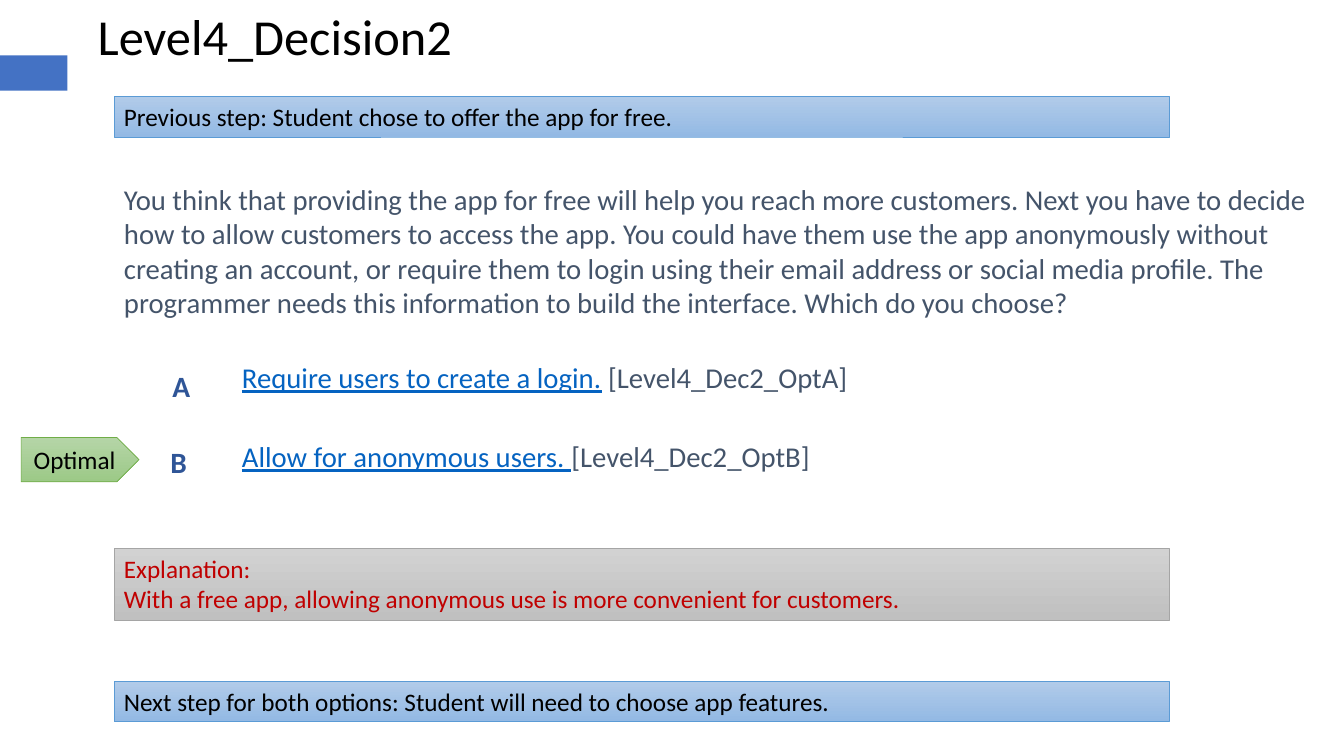
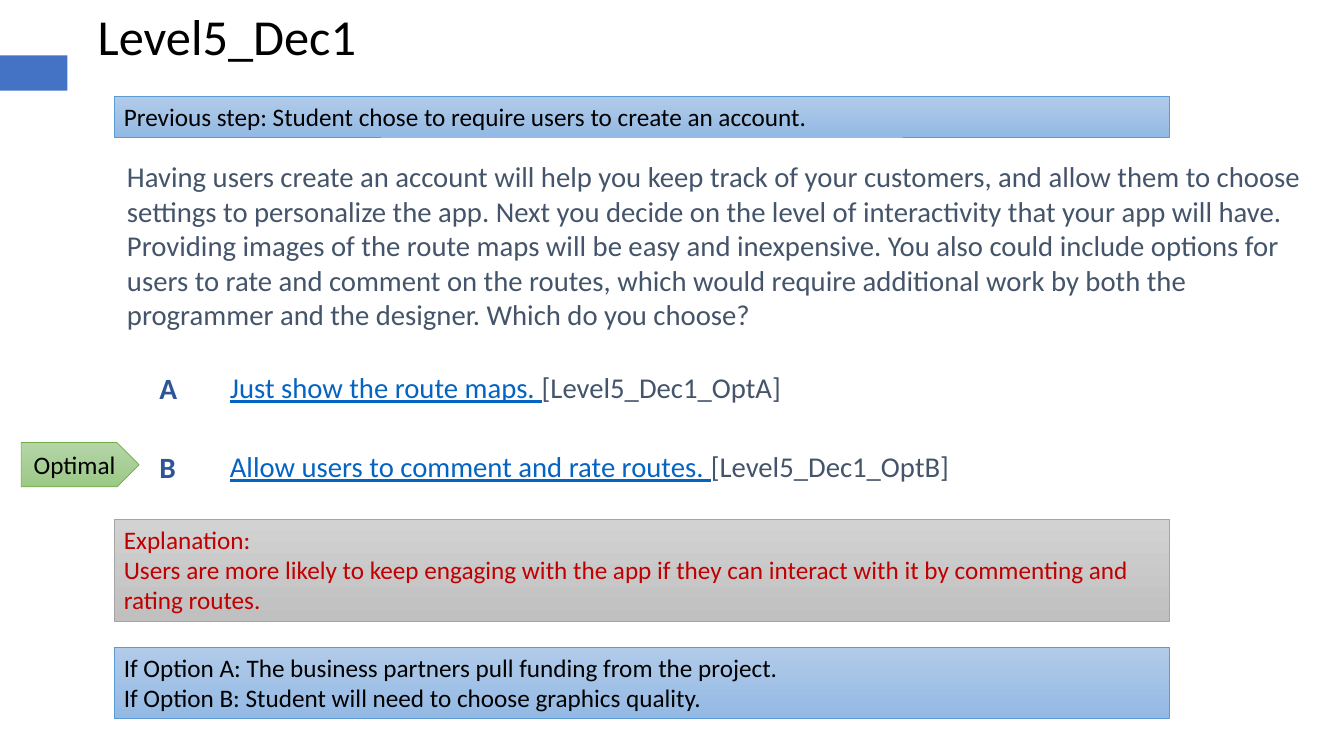
from pptx import Presentation
from pptx import util as u
from pptx.dml.color import RGBColor
from pptx.enum import shapes, text

PX = 9144
WIDTH, HEIGHT = 1333, 750
FONT = "Calibri"
ACCENT, BLACK, BODY, LINK, LETTER, RED = (
    "4472C4", "000000", "44546A", "0563C1", "2F5597", "C00000")
BLUE_BAND = ("B1CBE9", "93B9E4", "5B9BD5")
GRAY_BAND = ("D2D2D2", "C0C0C0", "A5A5A5")
GREEN_TAG = ("B5D5A7", "9CC987", "70AD47")
BAND_LEFT, BAND_WIDTH = 113, 1047
NARROW, WIDE = (10, 5), (13, 7)

DECISIONS = [
    {
        "title": "Level4_Decision2",
        "previous": "Previous step: Student chose to offer the app for free.",
        "body": (110, 173, 245,
                 "You think that providing the app for free will help you reach more customers. "
                 "Next you have to decide how to allow customers to access the app. You could have "
                 "them use the app anonymously without creating an account, or require them to "
                 "login using their email address or social media profile. The programmer needs "
                 "this information to build the interface. Which do you choose?"),
        "options": (227, 350, [
            [("Require users to create a login.", LINK), (" [Level4_Dec2_OptA]", BODY)],
            [("Allow for anonymous users. ", LINK), ("[Level4_Dec2_OptB]", BODY)]]),
        "letters": [("A", 158, 358), ("B", 156, 434)],
        "optimal_top": 434,
        "explanation": (544, 71, [
            "Explanation:",
            "With a free app, allowing anonymous use is more convenient for customers."]),
        "next": (676, 40, [
            "Next step for both options: Student will need to choose app features."]),
    },
    {
        "title": "Level5_Dec1",
        "previous": "Previous step: Student chose to require users to create an account.",
        "body": (113, 151, 273,
                 "Having users create an account will help you keep track of your customers, and "
                 "allow them to choose settings to personalize the app. Next you decide on the "
                 "level of interactivity that your app will have. Providing images of the route "
                 "maps will be easy and inexpensive. You also could include options for users to "
                 "rate and comment on the routes, which would require additional work by both the "
                 "programmer and the designer. Which do you choose?"),
        "options": (215, 360, [
            [("Just show the route maps. ", LINK), ("[Level5_Dec1_OptA]", BODY)],
            [("Allow users to comment and rate routes. ", LINK), ("[Level5_Dec1_OptB]", BODY)]]),
        "letters": [("A", 145, 360), ("B", 145, 439)],
        "optimal_top": 439,
        "explanation": (515, 101, [
            "Explanation:",
            "Users are more likely to keep engaging with the app if they can interact with it "
            "by commenting and rating routes."]),
        "next": (642, 71, [
            "If Option A: The business partners pull funding from the project.",
            "If Option B: Student will need to choose graphics quality."]),
    },
]


def color(value):
    return RGBColor.from_string(value)


def scaled(*lengths):
    return [length * PX for length in lengths]


def write(shape, lines, size, ink, margins=NARROW, bold=False, gap=0, wrap=True,
          align=text.PP_ALIGN.LEFT, anchor=text.MSO_ANCHOR.TOP):
    frame = shape.text_frame
    frame.word_wrap = wrap
    frame.vertical_anchor = anchor
    frame.margin_left = frame.margin_right = margins[0] * PX
    frame.margin_top = frame.margin_bottom = margins[1] * PX
    for index, line in enumerate(lines):
        paragraph = frame.add_paragraph() if index else frame.paragraphs[0]
        paragraph.alignment = align
        if index:
            paragraph.space_before = u.Pt(gap)
        font = paragraph.font
        font.name, font.size, font.bold = FONT, u.Pt(size), bold
        font.color.rgb = color(ink)
        for words, run_ink in [(line, ink)] if isinstance(line, str) else line:
            run = paragraph.add_run()
            run.text = words
            if run_ink != ink:
                run.font.color.rgb = color(run_ink)
                run.font.underline = run_ink == LINK


def add_text(slide, box, lines, size, ink, **style):
    write(slide.shapes.add_textbox(*scaled(*box)), lines, size, ink, **style)


def add_panel(slide, kind, box, palette, lines, ink=BLACK, **style):
    top_color, bottom_color, line_color = palette
    shape = slide.shapes.add_shape(kind, *scaled(*box))
    shape.shadow.inherit = False
    shape.fill.gradient()
    shape.fill.gradient_angle = 270
    for stop, position, value in zip(shape.fill.gradient_stops, (0, 1), (top_color, bottom_color)):
        stop.position = position
        stop.color.rgb = color(value)
    shape.line.color.rgb = color(line_color)
    shape.line.width = u.Pt(0.5)
    write(shape, lines, 18, ink, **style)


def add_band(slide, top, height, palette, lines, ink=BLACK):
    add_panel(slide, shapes.MSO_SHAPE.RECTANGLE, (BAND_LEFT, top, BAND_WIDTH, height),
              palette, lines, ink)


def add_accent(slide):
    accent = slide.shapes.add_shape(shapes.MSO_SHAPE.RECTANGLE, *scaled(0, 55, 67, 35))
    accent.shadow.inherit = False
    accent.fill.solid()
    accent.fill.fore_color.rgb = color(ACCENT)
    accent.line.fill.background()


def add_decision(presentation, decision):
    slide = presentation.slides.add_slide(presentation.slide_layouts[6])
    add_accent(slide)
    left, top, height, body = decision["body"]
    add_text(slide, (left, top, WIDTH - left, height), [body], 20.5, BODY, margins=WIDE)
    left, top, options = decision["options"]
    add_text(slide, (left, top, WIDTH - left, 215), options, 20.5, BODY, margins=WIDE, gap=32)
    for letter, left, top in decision["letters"]:
        add_text(slide, (left, top, 70, 44), [letter], 21, LETTER, margins=WIDE, bold=True)
    add_text(slide, (87, 0, 372, 71), [decision["title"]], 36, BLACK, wrap=False)
    add_band(slide, 96, 40, BLUE_BAND, [decision["previous"]])
    add_band(slide, *decision["next"][:2], BLUE_BAND, decision["next"][2])
    add_band(slide, *decision["explanation"][:2], GRAY_BAND, decision["explanation"][2], RED)
    add_panel(slide, shapes.MSO_SHAPE.PENTAGON, (21, decision["optimal_top"], 117, 44),
              GREEN_TAG, ["Optimal"], align=text.PP_ALIGN.CENTER,
              anchor=text.MSO_ANCHOR.MIDDLE)


def main():
    presentation = Presentation()
    presentation.slide_width, presentation.slide_height = scaled(WIDTH, HEIGHT)
    for decision in DECISIONS:
        add_decision(presentation, decision)
    presentation.save("out.pptx")


if __name__ == "__main__":
    main()
